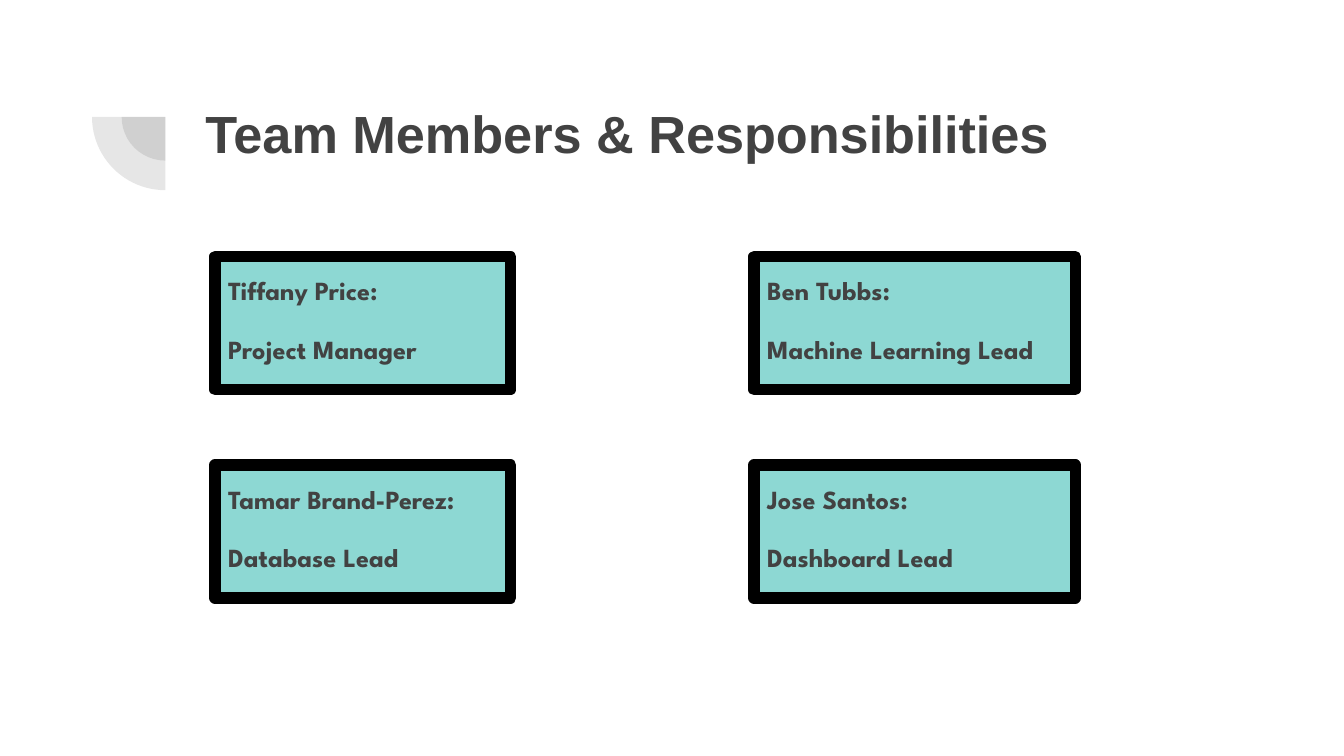
from dataclasses import dataclass

from lxml.etree import SubElement
from pptx import Presentation
from pptx.dml.color import RGBColor
from pptx.enum.shapes import MSO_SHAPE
from pptx.enum.text import MSO_ANCHOR, PP_ALIGN
from pptx.oxml.ns import qn
from pptx.util import Inches, Pt

COLORS = {"text": "424242", "card": "8DD8D3", "border": "000000", "background": "FFFFFF"}


@dataclass
class Member:
    name: str
    role: str
    column: int
    row: int


MEMBERS = [
    Member("Tiffany Price:", "Project Manager", 0, 0),
    Member("Ben Tubbs:", "Machine Learning Lead", 1, 0),
    Member("Jose Santos:", "Dashboard Lead", 1, 1),
    Member("Tamar Brand-Perez:", "Database Lead", 0, 1),
]
COLUMNS = [(1.6, 2.2), (5.61, 2.39)]  # left, width
FIRST_ROW, ROW_STEP, CARD_HEIGHT = 1.91, 1.55, 0.99
ARC_CENTER = (1.23, 0.87)
ARC_DIAMETERS = [0.65, 1.09]


def color(key: str) -> RGBColor:
    return RGBColor.from_string(COLORS[key])


def set_frame(frame) -> None:
    frame.word_wrap = True
    frame.vertical_anchor = MSO_ANCHOR.TOP
    frame.margin_left = frame.margin_right = Inches(0.1)
    frame.margin_top = frame.margin_bottom = Inches(0.1)


def add_run(paragraph, text: str, size: float, font_name: str) -> None:
    paragraph.alignment = PP_ALIGN.LEFT
    run = paragraph.add_run()
    run.text = text
    run.font.size = Pt(size)
    run.font.name = font_name
    run.font.bold = True
    run.font.color.rgb = color("text")


def add_arc(slide, diameter: float) -> None:
    left, top = (center - diameter / 2 for center in ARC_CENTER)
    arc = slide.shapes.add_shape(
        MSO_SHAPE.PIE, Inches(left), Inches(top), Inches(diameter), Inches(diameter))
    arc.adjustments[0], arc.adjustments[1] = 108, 162
    arc.rotation = 270
    arc.shadow.inherit = False
    arc.line.fill.background()
    arc.fill.solid()
    arc.fill.fore_color.rgb = color("text")
    fill_color = arc.element.spPr.find(qn("a:solidFill")).find(qn("a:srgbClr"))
    SubElement(fill_color, qn("a:alpha"), val="13000")


def add_card(slide, member: Member) -> None:
    left, width = COLUMNS[member.column]
    top = FIRST_ROW + member.row * ROW_STEP
    card = slide.shapes.add_shape(
        MSO_SHAPE.RECTANGLE, Inches(left), Inches(top), Inches(width), Inches(CARD_HEIGHT))
    card.shadow.inherit = False
    card.fill.solid()
    card.fill.fore_color.rgb = color("card")
    card.line.color.rgb = color("border")
    card.line.width = Pt(6)
    SubElement(card.element.spPr.find(qn("a:ln")), qn("a:round"))

    frame = card.text_frame
    set_frame(frame)
    name_paragraph, role_paragraph = frame.paragraphs[0], frame.add_paragraph()
    for paragraph, text in ((name_paragraph, member.name), (role_paragraph, member.role)):
        paragraph.line_spacing = 1.15
        add_run(paragraph, text, 14, "League Spartan")
    role_paragraph.space_before = role_paragraph.space_after = Pt(12)


# Widescreen slide, 16:9
presentation = Presentation()
presentation.slide_width = Inches(10)
presentation.slide_height = Inches(10 * 9 / 16)
slide = presentation.slides.add_slide(presentation.slide_layouts[6])
slide.background.fill.solid()
slide.background.fill.fore_color.rgb = color("background")

# Corner ornament
for diameter in ARC_DIAMETERS:
    add_arc(slide, diameter)

# Title
title = slide.shapes.add_textbox(Inches(1.43), Inches(0.65), Inches(7.69), Inches(1.09))
set_frame(title.text_frame)
add_run(title.text_frame.paragraphs[0], "Team Members & Responsibilities", 28, "Arial")

# Team cards
for member in MEMBERS:
    add_card(slide, member)

presentation.save("out.pptx")
